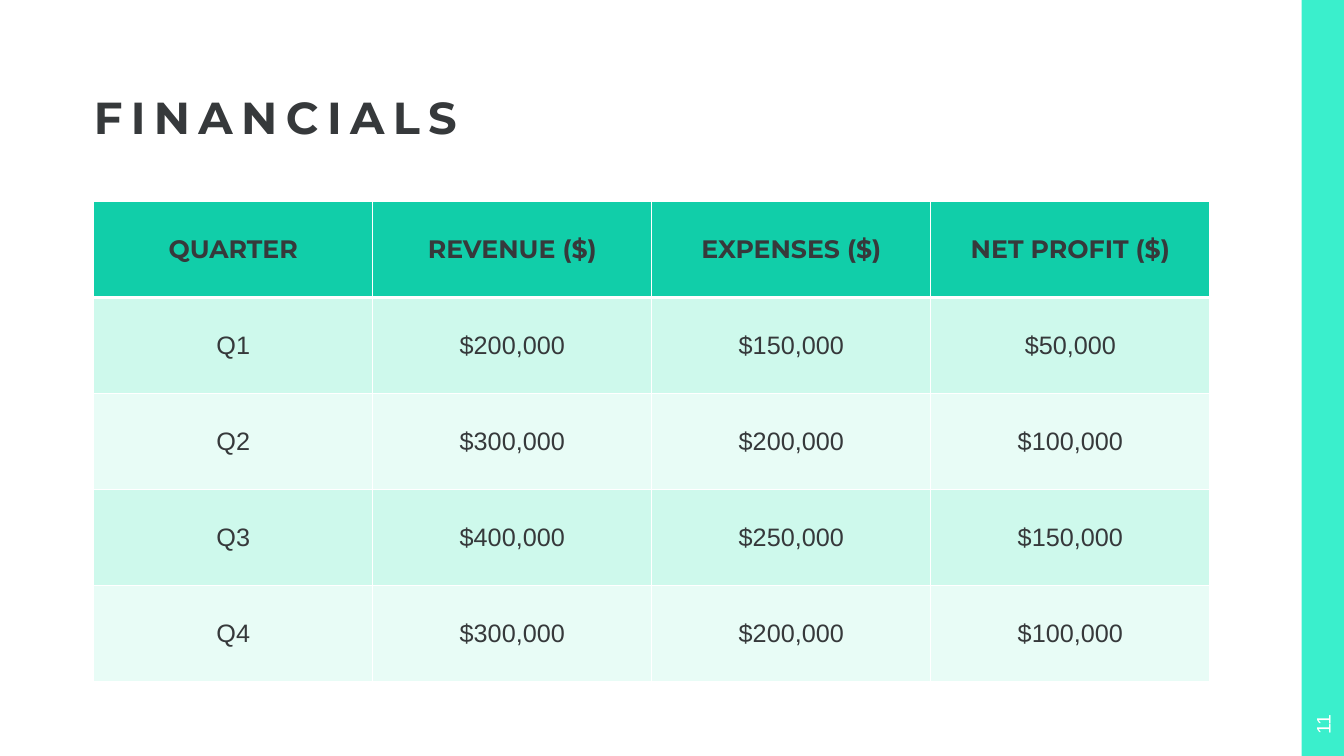
from dataclasses import dataclass

import pptx
import pptx.dml.color
import pptx.enum.shapes
import pptx.enum.text
import pptx.oxml
import pptx.oxml.ns
import pptx.util
from pptx.util import Inches

DARK = "36393B"
WHITE = "FFFFFF"
MINT = "3AEFCC"


@dataclass
class RowStyle:
    font: str
    bold: bool
    fill: str
    bottom_line: float = 1


HEADER = RowStyle("Montserrat", True, "11CEA9", 3)
BANDS = [RowStyle("Arial", False, "CEF9EC"), RowStyle("Arial", False, "E8FCF6")]

ROWS = [
    ("QUARTER", "REVENUE ($)", "EXPENSES ($)", "NET PROFIT ($)"),
    ("Q1", "$200,000", "$150,000", "$50,000"),
    ("Q2", "$300,000", "$200,000", "$100,000"),
    ("Q3", "$400,000", "$250,000", "$150,000"),
    ("Q4", "$300,000", "$200,000", "$100,000"),
]


def rgb(color: str) -> pptx.dml.color.RGBColor:
    return pptx.dml.color.RGBColor.from_string(color)


def format_paragraph(p, font: str, size: float, color: str, bold: bool = False,
                     align=pptx.enum.text.PP_ALIGN.CENTER) -> None:
    p.alignment = align
    p.font.name = font
    p.font.size = pptx.util.Pt(size)
    p.font.bold = bold
    p.font.color.rgb = rgb(color)


def add_borders(cell, top: float, bottom: float) -> None:
    tc_pr = cell._tc.get_or_add_tcPr()
    for side, width in (("L", 1), ("R", 1), ("T", top), ("B", bottom)):
        tc_pr.append(pptx.oxml.parse_xml(
            f'<a:ln{side} {pptx.oxml.ns.nsdecls("a")} w="{pptx.util.Pt(width)}">'
            f'<a:solidFill><a:srgbClr val="{WHITE}"/></a:solidFill></a:ln{side}>'))


def fill_cell(cell, text: str, style: RowStyle, top_line: float) -> None:
    add_borders(cell, top_line, style.bottom_line)
    cell.fill.solid()
    cell.fill.fore_color.rgb = rgb(style.fill)
    cell.vertical_anchor = pptx.enum.text.MSO_ANCHOR.MIDDLE
    cell.text = text
    format_paragraph(cell.text_frame.paragraphs[0], style.font, 18, DARK, style.bold)


def add_side_bar(s) -> None:
    bar = s.shapes.add_shape(pptx.enum.shapes.MSO_SHAPE.RECTANGLE,
                             Inches(12.91), 0, Inches(0.42), Inches(7.5))
    bar.shadow.inherit = False
    bar.fill.solid()
    bar.fill.fore_color.rgb = rgb(MINT)
    bar.line.fill.background()


def add_title(s, text: str) -> None:
    title = s.shapes.title
    title.left, title.top = Inches(0.93), 0
    title.width, title.height = Inches(11.07), Inches(1.43)
    tf = title.text_frame
    tf.margin_left = tf.margin_top = tf.margin_right = tf.margin_bottom = 0
    tf.vertical_anchor = pptx.enum.text.MSO_ANCHOR.BOTTOM
    tf.auto_size = pptx.enum.text.MSO_AUTO_SIZE.NONE
    p = tf.paragraphs[0]
    r = p.add_run()
    r.text = text
    p.line_spacing = 0.9
    format_paragraph(p, "Montserrat", 32, DARK, True, pptx.enum.text.PP_ALIGN.LEFT)
    r.font._element.set("spc", "600")


def add_financials(s) -> None:
    table = s.shapes.add_table(len(ROWS), len(ROWS[0]), Inches(0.93), Inches(2),
                               Inches(11.07), Inches(4.76)).table
    for i, row in enumerate(ROWS):
        style = HEADER if i == 0 else BANDS[(i - 1) % 2]
        top_line = HEADER.bottom_line if i == 1 else 1
        for j, text in enumerate(row):
            fill_cell(table.cell(i, j), text, style, top_line)


def add_page_number(s, number: str) -> None:
    box = s.shapes.add_textbox(Inches(12.81), Inches(6.98), Inches(0.62), Inches(0.42))
    box.rotation = 270
    tf = box.text_frame
    tf.word_wrap = True
    tf.vertical_anchor = pptx.enum.text.MSO_ANCHOR.MIDDLE
    tf.text = number
    format_paragraph(tf.paragraphs[0], "Arial", 14, WHITE)


def main() -> None:
    prs = pptx.Presentation()
    prs.slide_width, prs.slide_height = Inches(13.33), Inches(7.5)
    s = prs.slides.add_slide(prs.slide_layouts[5])

    # Frame and heading
    add_side_bar(s)
    add_title(s, "FINANCIALS")

    # Quarterly figures
    add_financials(s)

    # Page number
    add_page_number(s, "11")
    prs.save("out.pptx")


if __name__ == "__main__":
    main()
